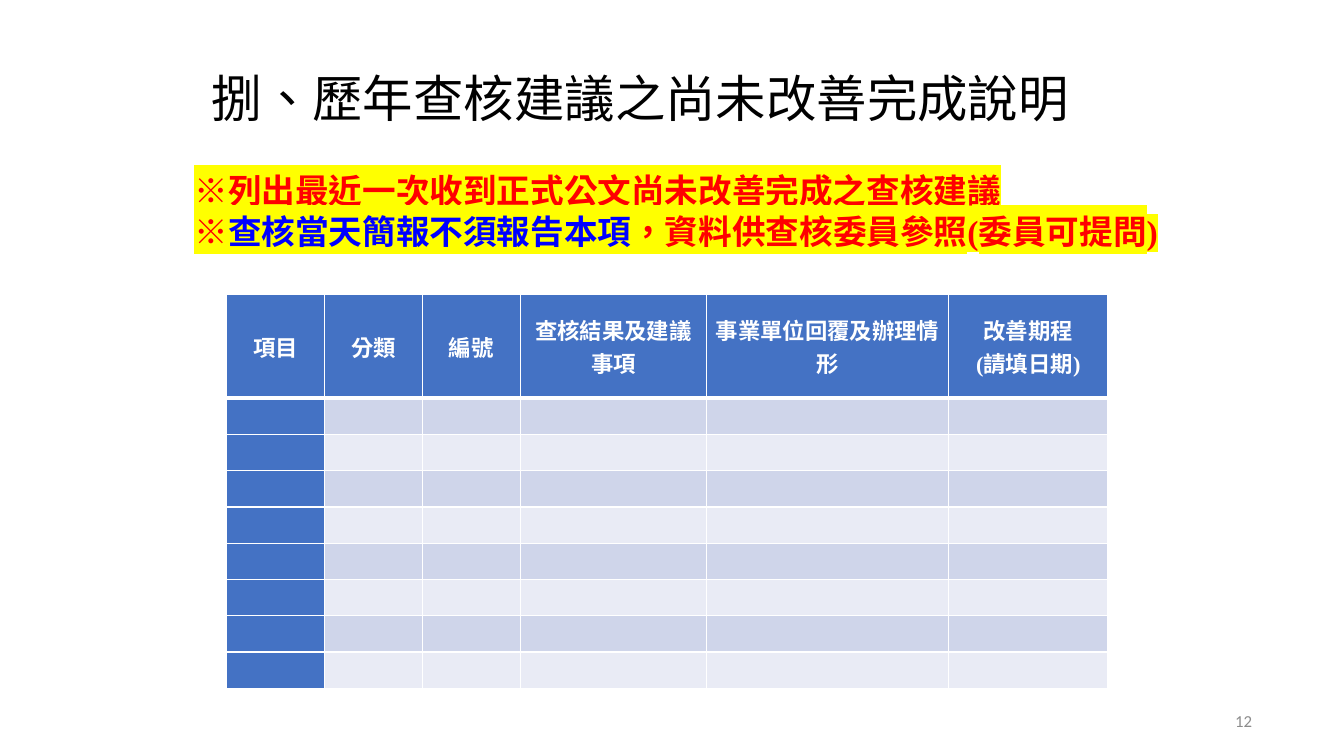
import pptx
import pptx.util
import pptx.dml.color
import pptx.enum.lang
import pptx.enum.text
import pptx.oxml

Inch = pptx.util.Inches
RGB = pptx.dml.color.RGBColor
Align = pptx.enum.text.PP_ALIGN
Anchor = pptx.enum.text.MSO_ANCHOR
NS = 'xmlns:a="http://schemas.openxmlformats.org/drawingml/2006/main"'

BLACK = RGB(0, 0, 0)
WHITE = RGB(255, 255, 255)
GRAY = RGB(0x8C, 0x8C, 0x8C)
RED = RGB(255, 0, 0)
BLUE = RGB(0, 0, 255)
HEAD = RGB(0x44, 0x72, 0xC4)
BANDS = [RGB(0xCF, 0xD5, 0xEA), RGB(0xE9, 0xEB, 0xF5)]


def write(par, runs, face, size, bold=False, align=Align.LEFT):
    """Fill a paragraph with (text, colour) runs in one font."""
    par.alignment = align
    par.font.name, par.font.size, par.font.bold = face, pptx.util.Pt(size), bold
    for text, color in runs:
        run = par.add_run()
        run.text = text
        run.font.color.rgb = color
        run.font.language_id = pptx.enum.lang.MSO_LANGUAGE_ID.TRADITIONAL_CHINESE


def frame(shape, left, top, width, height, pad):
    """Place a shape and set its text margins."""
    shape.left, shape.top = Inch(left), Inch(top)
    shape.width, shape.height = Inch(width), Inch(height)
    box = shape.text_frame
    box.word_wrap = True
    box.margin_left = box.margin_right = Inch(pad)
    box.margin_top = box.margin_bottom = Inch(pad / 2)
    return box


deck = pptx.Presentation()
deck.slide_width, deck.slide_height = Inch(13.33), Inch(7.5)
slide = deck.slides.add_slide(deck.slide_layouts[5])

# Title
box = frame(slide.shapes.title, 2.1, 0.67, 9.07, 0.61, 0)
box.vertical_anchor = Anchor.TOP
box.auto_size = pptx.enum.text.MSO_AUTO_SIZE.NONE
write(box.paragraphs[0], [("捌、歷年查核建議之尚未改善完成說明", BLACK)],
      "Noto Sans CJK SC", 36)
for run in box.paragraphs[0].runs:
    run.font._element.append(pptx.oxml.parse_xml(
        f'<a:ea {NS} typeface="Noto Sans CJK SC"/>'))

# Table
cols = [0.97, 0.97, 0.97, 1.85, 2.4, 1.58]
rows = [1.03] + [0.36] * 8
heads = ["項目", "分類", "編號", "查核結果及建議事項", "事業單位回覆及辦理情形",
         "改善期程\n(請填日期)"]
grid = slide.shapes.add_table(len(rows), len(cols), Inch(2.25), Inch(2.92),
                              Inch(sum(cols)), Inch(sum(rows))).table
for col, width in zip(grid.columns, cols):
    col.width = Inch(width)
for r, height in enumerate(rows):
    grid.rows[r].height = Inch(height)
    for c, head in enumerate(heads):
        cell = grid.cell(r, c)
        cell.margin_left = cell.margin_right = Inch(0.07)
        cell.margin_top = cell.margin_bottom = 0
        cell.vertical_anchor = Anchor.MIDDLE
        for side in "LRTB":
            # Thick rule between the header and the body
            thick = (r, side) in [(0, "B"), (1, "T")]
            cell._tc.get_or_add_tcPr().append(pptx.oxml.parse_xml(
                f'<a:ln{side} {NS} w="{pptx.util.Pt(3 if thick else 1)}"><a:solidFill>'
                f'<a:srgbClr val="{WHITE}"/></a:solidFill></a:ln{side}>'))
        cell.fill.solid()
        cell.fill.fore_color.rgb = HEAD if r == 0 or c == 0 else BANDS[(r - 1) % 2]
        if r == 0:
            for i, line in enumerate(head.split("\n")):
                par = cell.text_frame.add_paragraph() if i else cell.text_frame.paragraphs[0]
                write(par, [(line, WHITE)], "Times New Roman", 16, True, Align.CENTER)

# Page number
box = frame(slide.shapes.add_textbox(0, 0, 0, 0), 9.42, 6.95, 3, 0.4, 0)
box.vertical_anchor = Anchor.MIDDLE
write(box.paragraphs[0], [("12", GRAY)], "Calibri", 12, align=Align.RIGHT)

# Highlighted notes
notes = [
    [("※列出最近一次收到正式公文尚未改善完成之查核建議", RED)],
    [("※", RED), ("查核當天簡報不須報告本項", BLUE),
     ("，資料供查核委員參照(委員可提問)", RED)],
]
box = frame(slide.shapes.add_textbox(0, 0, 0, 0), 1.83, 1.64, 9.85, 0.91, 0.1)
for i, note in enumerate(notes):
    par = box.add_paragraph() if i else box.paragraphs[0]
    write(par, note, "Times New Roman", 24, True)
    for run in par.runs:
        run.font._element.append(pptx.oxml.parse_xml(
            f'<a:highlight {NS}><a:srgbClr val="FFFF00"/></a:highlight>'))

deck.save("out.pptx")
